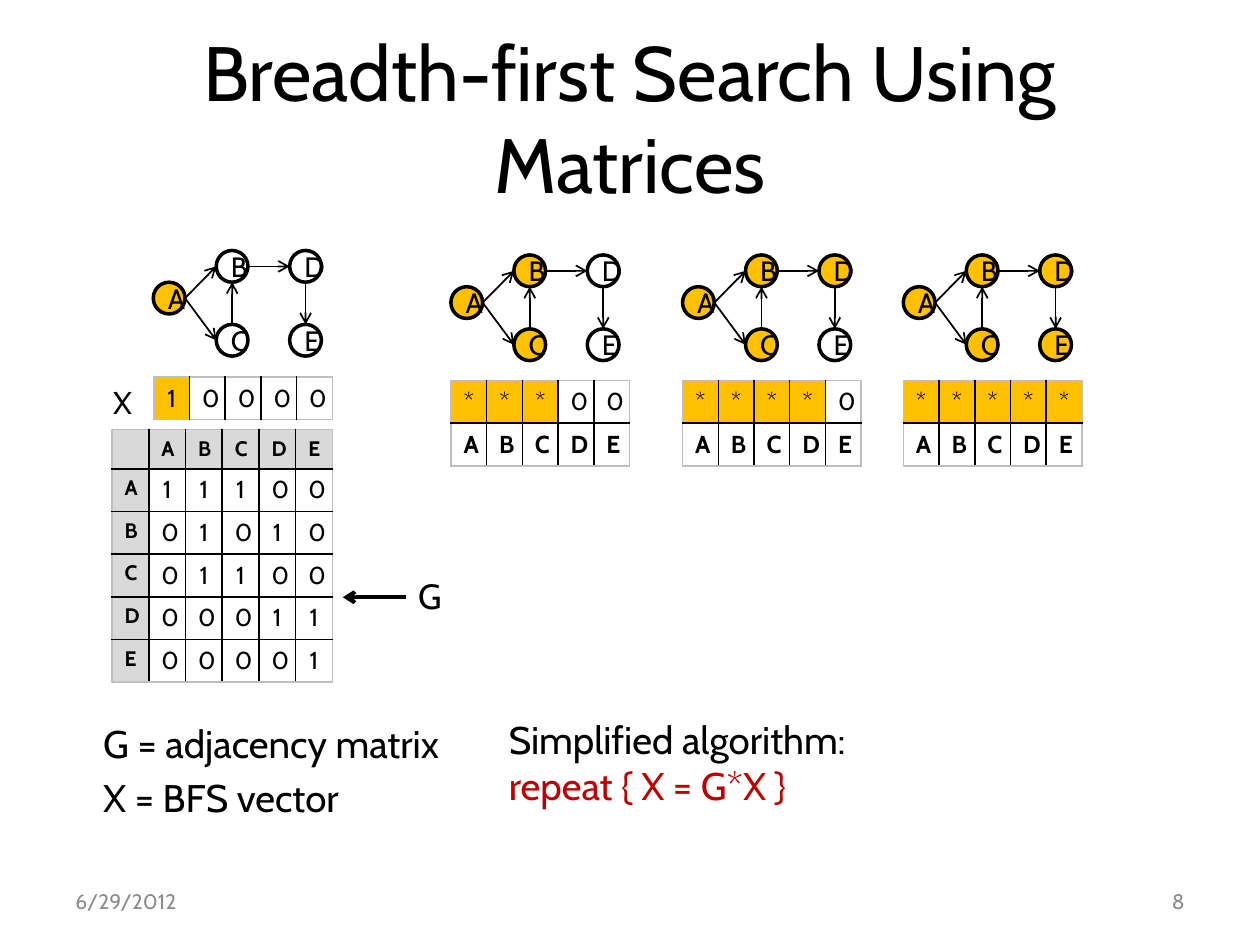
"""Build a slide that explains breadth-first search with matrices."""
import pptx
import pptx.util
import pptx.dml.color
import pptx.enum.shapes
import pptx.enum.text
import pptx.oxml.ns
from lxml import etree

Cm, Pt = pptx.util.Cm, pptx.util.Pt
rgb = pptx.dml.color.RGBColor.from_string
qn = pptx.oxml.ns.qn
ALIGN = pptx.enum.text.PP_ALIGN
ANCHOR = pptx.enum.text.MSO_ANCHOR
BLACK, GREY, ORANGE = "000000", "D9D9D9", "FFC000"

prs = pptx.Presentation()
prs.slide_width, prs.slide_height = Cm(25.4), Cm(19.05)
s = prs.slides.add_slide(prs.slide_layouts[6])


def write(p, text, size, color=BLACK, bold=False, align=ALIGN.LEFT):
    p.alignment = align
    r = p.add_run()
    r.text = text
    r.font.name, r.font.size, r.font.bold = "Cabin", Pt(size), bold
    r.font.color.rgb = rgb(color)


def add_arrow(shapes, x1, y1, x2, y2, width):
    cx = shapes.add_connector(pptx.enum.shapes.MSO_CONNECTOR.STRAIGHT,
                              Cm(x1), Cm(y1), Cm(x2), Cm(y2))
    cx.line.color.rgb = rgb(BLACK)
    cx.line.width = Pt(width)
    etree.SubElement(cx.line._get_or_add_ln(), qn("a:tailEnd"), type="arrow")
    etree.SubElement(cx._element.spPr, qn("a:effectLst"))


texts = [
    (1.27, 0.76, 22.86, 3.18, 44, ALIGN.CENTER, ANCHOR.MIDDLE,
     [("Breadth-first Search Using Matrices", BLACK)]),
    (1.83, 14.4, 11.43, 2.82, 22, ALIGN.LEFT, ANCHOR.TOP,
     [("G = adjacency matrix", BLACK), ("X = BFS vector", BLACK)]),
    (1.27, 17.65, 5.92, 1.02, 12, ALIGN.LEFT, ANCHOR.MIDDLE, [("6/29/2012", "8C8C8C")]),
    (18.21, 17.65, 5.92, 1.02, 12, ALIGN.RIGHT, ANCHOR.MIDDLE, [("8", "8C8C8C")]),
    (2.03, 7.6, 0.84, 1.02, 18, ALIGN.LEFT, ANCHOR.TOP, [("X", BLACK)]),
    (8.18, 11.46, 1.9, 1.12, 20, ALIGN.LEFT, ANCHOR.TOP, [("G", BLACK)]),
    (10.01, 14.3, 8.79, 2.9, 22, ALIGN.LEFT, ANCHOR.TOP,
     [("Simplified algorithm:", BLACK), ("repeat { X = G*X }", "C00000")]),
]
for x, y, w, h, size, align, anchor, lines in texts:
    tf = s.shapes.add_textbox(Cm(x), Cm(y), Cm(w), Cm(h)).text_frame
    tf.word_wrap = True
    tf.vertical_anchor = anchor
    for i, (text, color) in enumerate(lines):
        p = tf.add_paragraph() if i else tf.paragraphs[0]
        write(p, text, size, color, align=align)
        if lines[0][0].startswith("G ="):
            p.space_before = Pt(4.4)
            p._p.get_or_add_pPr().set("marL", str(Cm(0.95)))
            p._p.get_or_add_pPr().set("indent", str(-Cm(0.95)))

add_arrow(s.shapes, 8.18, 12.04, 6.91, 12.04, 2.25)

D = 0.64
nodes = {"A": (0, 0.64), "B": (1.27, 0), "C": (1.27, 1.49), "D": (2.75, 0), "E": (2.75, 1.49)}
sites = {"left": (0, D / 2), "right": (D, D / 2), "top": (D / 2, 0), "bottom": (D / 2, D)}
edges = [("A", "right", "B", "left"), ("A", "right", "C", "left"), ("C", "top", "B", "bottom"),
         ("B", "right", "D", "left"), ("D", "bottom", "E", "top")]
graphs = [(3.09, 5.05, "A"), (9.09, 5.14, "ABC"), (13.76, 5.14, "ABCD"), (18.21, 5.14, "ABCDE")]
for x, y, reached in graphs:
    shapes = s.shapes.add_group_shape().shapes
    for start, out, end, into in edges:
        (ax, ay), (bx, by) = nodes[start], nodes[end]
        (ox, oy), (ix, iy) = sites[out], sites[into]
        add_arrow(shapes, x + ax + ox, y + ay + oy, x + bx + ix, y + by + iy, 1)
    for name, (dx, dy) in nodes.items():
        sp = shapes.add_shape(pptx.enum.shapes.MSO_SHAPE.OVAL,
                              Cm(x + dx), Cm(y + dy), Cm(D), Cm(D))
        sp.shadow.inherit = False
        sp.line.color.rgb = rgb(BLACK)
        sp.line.width = Pt(2)
        if name in reached:
            sp.fill.solid()
            sp.fill.fore_color.rgb = rgb(ORANGE)
        else:
            sp.fill.background()
        write(sp.text_frame.paragraphs[0], name, 16, align=ALIGN.CENTER)

matrix = [" ABCDE", "A11100", "B01010", "C01100", "D00011", "E00001"]
tables = [(2.26, 8.66, 0.74, matrix, 0), (3.1, 7.6, 0.72, ["10000"], 1)]
tables += [(x, 7.67, 0.72, ["*" * len(reached) + "0" * (5 - len(reached)), "ABCDE"], len(reached))
           for x, y, reached in graphs[1:]]
for x, y, col_w, rows, marked in tables:
    n_rows, n_cols = len(rows), len(rows[0])
    tbl = s.shapes.add_table(n_rows, n_cols, Cm(x), Cm(y),
                             Cm(col_w * n_cols), Cm(0.86 * n_rows)).table
    tbl.first_row = tbl.horz_banding = False
    for col in tbl.columns:
        col.width = Cm(col_w)
    for i, row in enumerate(rows):
        tbl.rows[i].height = Cm(0.79 if rows is matrix and i == 0 else 0.86)
        for j, text in enumerate(row):
            cell = tbl.cell(i, j)
            header = rows is matrix and 0 in (i, j)
            tcPr = cell._tc.get_or_add_tcPr()
            outer = {"a:lnL": j == 0, "a:lnR": j == n_cols - 1,
                     "a:lnT": i == 0, "a:lnB": i == n_rows - 1}
            for tag, on_edge in outer.items():
                ln = etree.SubElement(tcPr, qn(tag), w=str(Pt(1)))
                fill = etree.SubElement(ln, qn("a:solidFill"))
                etree.SubElement(fill, qn("a:srgbClr"), val="BFBFBF" if on_edge else BLACK)
            if header or i == 0 and j < marked:
                cell.fill.solid()
                cell.fill.fore_color.rgb = rgb(GREY if header else ORANGE)
            else:
                cell.fill.background()
            p = cell.text_frame.paragraphs[0]
            if text == " ":
                etree.SubElement(p._p, qn("a:endParaRPr"), sz="1200")
            else:
                write(p, text, 12 if header else 14, bold=text.isalpha(),
                      align=ALIGN.LEFT if header else ALIGN.CENTER)

prs.save("out.pptx")
